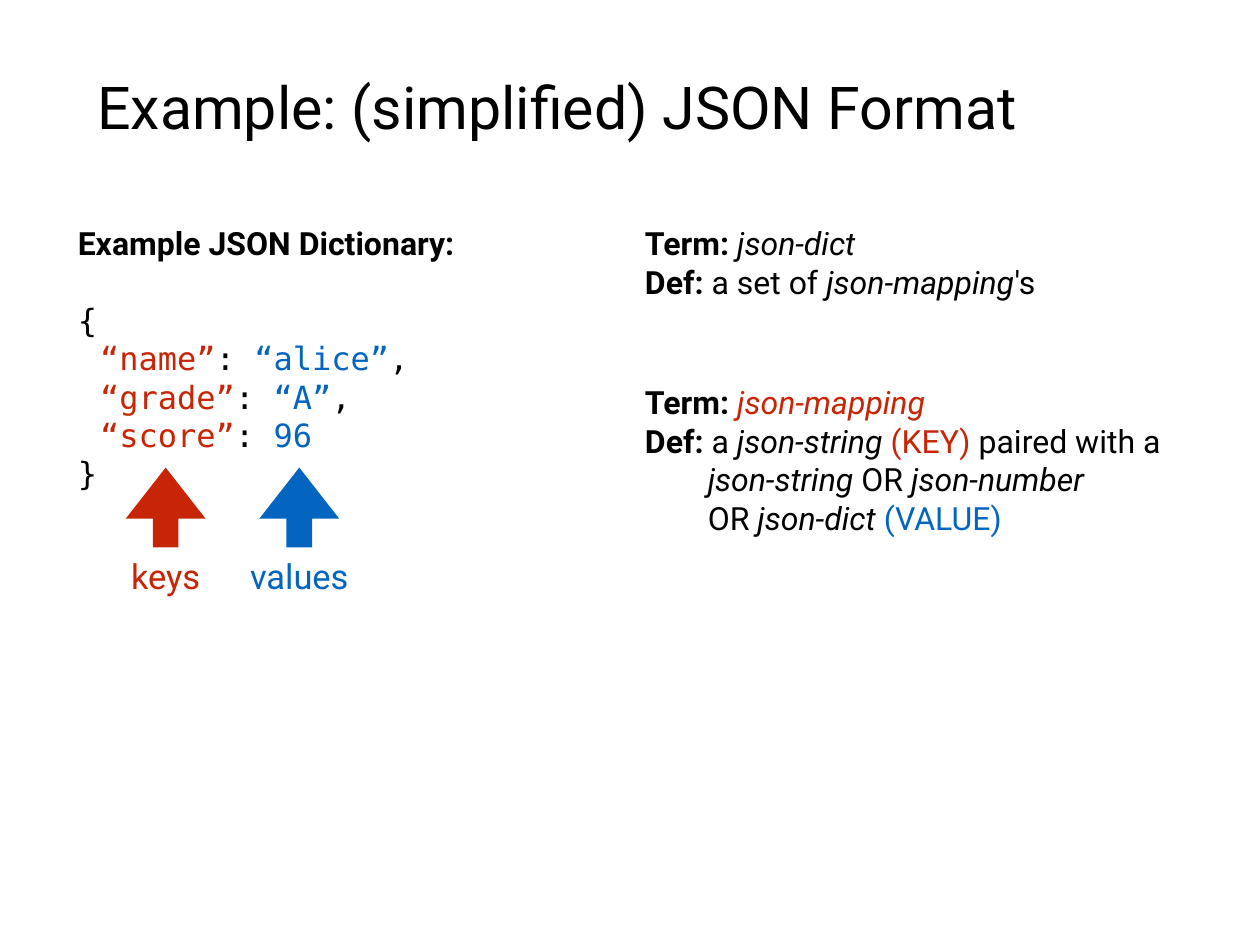
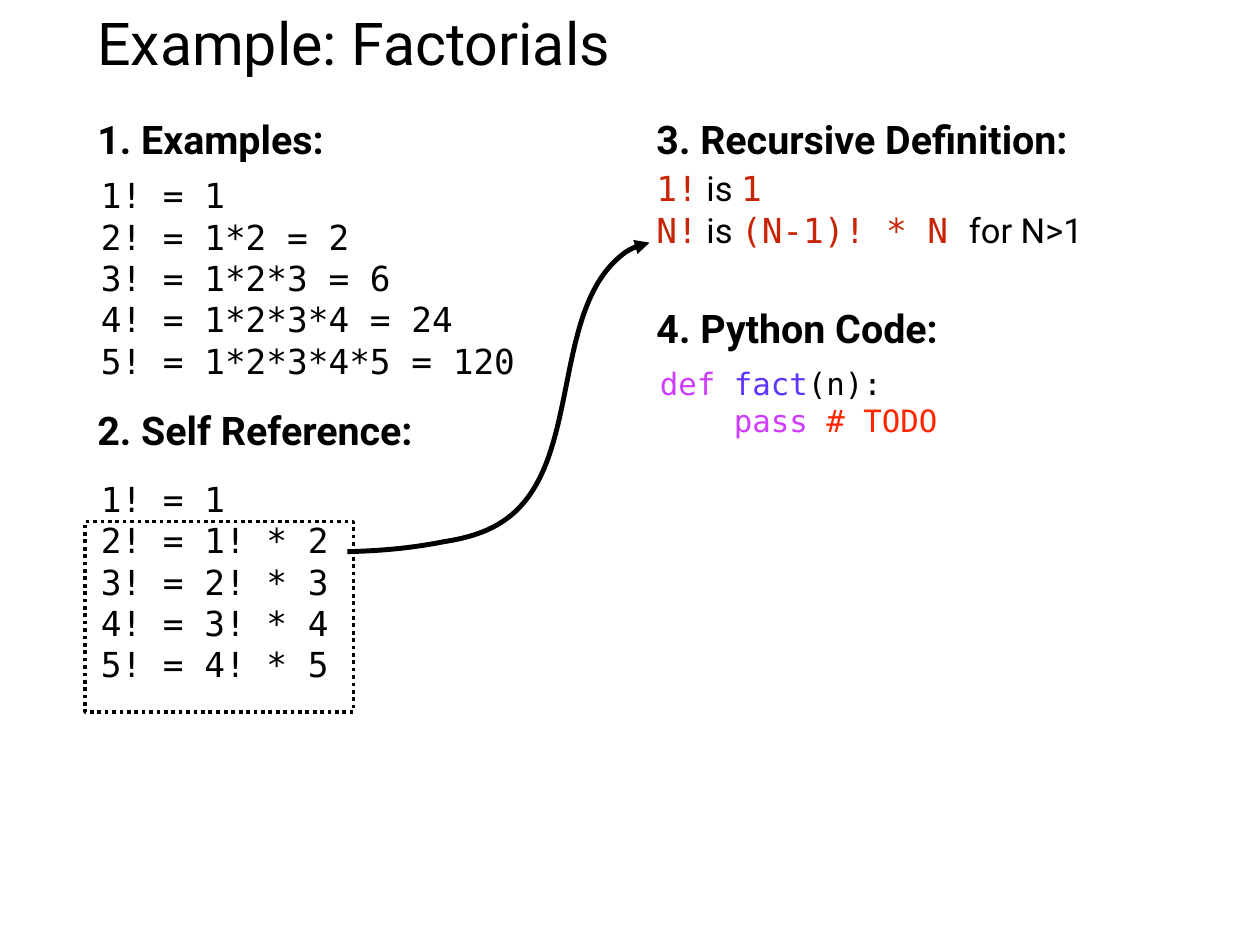
"""Builds two slides on recursive definitions: JSON format and factorials."""
from lxml.etree import SubElement
from pptx import Presentation
from pptx.dml.color import RGBColor
from pptx.enum.dml import MSO_LINE
from pptx.enum.shapes import MSO_SHAPE
from pptx.enum.text import MSO_ANCHOR, PP_ALIGN
from pptx.oxml.ns import qn
from pptx.util import Cm, Pt

BLACK = RGBColor(0x00, 0x00, 0x00)
RED = RGBColor(0xC8, 0x25, 0x06)
BLUE = RGBColor(0x03, 0x65, 0xC0)
PURPLE = RGBColor(0xD0, 0x3C, 0xFF)
INDIGO = RGBColor(0x5E, 0x34, 0xFF)
SCARLET = RGBColor(0xFF, 0x26, 0x00)
SANS, MONO = "Roboto", "DejaVu Sans Mono"

BOLD, ITALIC = {"bold": True}, {"italic": True}
KEY, VALUE = {"color": RED}, {"color": BLUE}
FORMULA = {"color": RED, "font": MONO}

JSON_TITLE = "Example: (simplified) JSON Format"
JSON_HEADING = "Example JSON Dictionary:"
JSON_ENTRIES = [("“name”", "“alice”"), ("“grade”", "“A”"), ("“score”", "96")]
DICT_TERM = [("Term: ", BOLD), ("json-dict", ITALIC)]
DICT_DEF = [("Def:", BOLD), " a set of ", ("json-mapping", ITALIC), "'s"]
MAPPING_TERM = [("Term: ", BOLD), ("json-mapping", ITALIC | KEY)]
MAPPING_DEF = [
    ("Def:", BOLD), " a ", ("json-string ", ITALIC), ("(KEY)", KEY),
    " paired with a\v", ("json-string ", ITALIC), "OR ",
    ("json-number\v", ITALIC), "OR ", ("json-dict ", ITALIC), ("(VALUE)", VALUE),
]
ARROWS = [("keys", RED, 4.75), ("values", BLUE, 8.58)]

FACTORIAL_TITLE = "Example: Factorials"
FACTORIAL_HEADINGS = [
    ("1. Examples:", 2.64, 3.15), ("2. Self Reference:", 2.64, 11.5),
    ("3. Recursive Definition:", 18.67, 3.15), ("4. Python Code:", 18.67, 8.58),
]
EXAMPLES = ["1! = 1", "2! = 1*2 = 2", "3! = 1*2*3 = 6",
            "4! = 1*2*3*4 = 24", "5! = 1*2*3*4*5 = 120"]
SELF_REFERENCE = ["1! = 1", "2! = 1! * 2", "3! = 2! * 3",
                  "4! = 3! * 4", "5! = 4! * 5"]
DEFINITION = [
    [("1!", FORMULA), " is ", ("1", FORMULA)],
    [("N!", FORMULA), " is ", ("(N-1)! * N ", FORMULA), "for N>1"],
]
CODE = [
    [("def ", {"color": PURPLE}), ("fact", {"color": INDIGO}), "(n):"],
    ["    ", ("pass ", {"color": PURPLE}), ("# TODO", {"color": SCARLET})],
]
CURVE = [
    (9.96, 15.82), (10.9, 15.8), (11.79, 15.72), (12.7, 15.54),
    (13.46, 15.42), (14.3, 15.21), (14.94, 14.5),
    (16.54, 12.75), (15.95, 9.04), (17.68, 7.44),
    (17.96, 7.19), (18.29, 7.01), (18.62, 6.96),
]


def add_text(slide, paragraphs, left, top, width, height, *, size, font=SANS,
             bold=False, color=BLACK, align=PP_ALIGN.LEFT,
             anchor=MSO_ANCHOR.TOP, spacing=None, indents=None, hanging=()):
    """Adds a text box; a paragraph is a string or a list of runs."""
    frame = slide.shapes.add_textbox(Cm(left), Cm(top), Cm(width), Cm(height)).text_frame
    frame.word_wrap = True
    frame.vertical_anchor = anchor
    frame.margin_left = frame.margin_right = Cm(0.15)
    frame.margin_top = frame.margin_bottom = Cm(0.15)
    for index, runs in enumerate(paragraphs):
        paragraph = frame.add_paragraph() if index else frame.paragraphs[0]
        paragraph.alignment = align
        if spacing and index in spacing:
            paragraph.space_before = Pt(spacing[index])
        if indents and index in indents:
            properties = paragraph._p.get_or_add_pPr()
            properties.set("marL", str(Cm(indents[index])))
            properties.set("indent", str(-Cm(indents[index]) if index in hanging else 0))
        for run in [runs] if isinstance(runs, str) else runs:
            words, style = (run, {}) if isinstance(run, str) else run
            for number, line in enumerate(words.split("\v")):
                if number:
                    paragraph.add_line_break()
                if line:
                    part = paragraph.add_run()
                    part.text = line
                    part.font.size = Pt(size)
                    part.font.name = style.get("font", font)
                    part.font.bold = style.get("bold", bold)
                    part.font.italic = style.get("italic", False)
                    part.font.color.rgb = style.get("color", color)


def add_slide(deck, title, top, height):
    """Adds a blank slide with its title."""
    slide = deck.slides.add_slide(deck.slide_layouts[6])
    add_text(slide, [title], 2.64, top, 30.84, height, size=48, anchor=MSO_ANCHOR.MIDDLE)
    return slide


def add_block_arrow(slide, label, color, center):
    """Adds an upward arrow with its label below."""
    side, label_width = 2.29, 3.6
    arrow = slide.shapes.add_shape(
        MSO_SHAPE.UP_ARROW, Cm(center - side / 2), Cm(13.41), Cm(side), Cm(side))
    arrow.adjustments[0], arrow.adjustments[1] = 0.32, 0.64
    arrow.shadow.inherit = False
    arrow.fill.solid()
    arrow.fill.fore_color.rgb = color
    arrow.line.fill.background()
    add_text(slide, [label], center - label_width / 2, 15.77, label_width, 1.47,
             size=28, color=color, align=PP_ALIGN.CENTER, anchor=MSO_ANCHOR.MIDDLE)


def add_curved_arrow(slide, points):
    """Adds an open Bezier curve ending in an arrowhead."""
    start, *rest = [(Cm(x), Cm(y)) for x, y in points]
    builder = slide.shapes.build_freeform(*start)
    builder.add_line_segments(rest, close=False)
    curve = builder.convert_to_shape()
    outline = next(curve._element.iter(qn("a:path")))
    segments = outline.findall(qn("a:lnTo"))
    for first in range(0, len(segments), 3):
        bezier = SubElement(outline, qn("a:cubicBezTo"))
        for segment in segments[first:first + 3]:
            bezier.append(segment[0])
            outline.remove(segment)
    curve.shadow.inherit = False
    curve.fill.background()
    curve.line.color.rgb = BLACK
    curve.line.width = Pt(4)
    SubElement(curve.line._get_or_add_ln(), qn("a:tailEnd"), type="triangle")


def build_json(deck):
    """Builds the JSON slide."""
    slide = add_slide(deck, JSON_TITLE, 1.24, 3.58)
    last = len(JSON_ENTRIES) - 1
    entries = [[(key, KEY), ": ", (value, VALUE), "," if index < last else ""]
               for index, (key, value) in enumerate(JSON_ENTRIES)]
    add_text(slide, [[(JSON_HEADING, BOLD | {"font": SANS})], "{", *entries, "}"],
             2.08, 6.27, 12.42, 9.02, size=26, font=MONO, spacing={1: 31},
             indents={index + 2: 0.64 for index in range(len(entries))})
    add_text(slide, [DICT_TERM, DICT_DEF, MAPPING_TERM, MAPPING_DEF],
             18.34, 6.27, 16.46, 9.91, size=26, spacing={2: 67},
             indents={3: 1.8}, hanging=(3,))
    for label, color, center in ARROWS:
        add_block_arrow(slide, label, color, center)


def build_factorials(deck):
    """Builds the factorial slide."""
    slide = add_slide(deck, FACTORIAL_TITLE, 0.03, 2.36)
    for heading, left, top in FACTORIAL_HEADINGS:
        add_text(slide, [heading], left, top, 16, 2.08, size=32, bold=True)
    add_text(slide, EXAMPLES, 2.74, 4.85, 12.4, 6.27, size=28, font=MONO)
    add_text(slide, SELF_REFERENCE, 2.74, 13.56, 7.7, 6.27, size=28, font=MONO)
    add_text(slide, DEFINITION, 18.67, 4.65, 13.7, 3.33, size=28)
    add_text(slide, CODE, 18.77, 10.31, 16.81, 3.35, size=25, font=MONO)
    add_curved_arrow(slide, CURVE)
    frame = slide.shapes.add_shape(
        MSO_SHAPE.RECTANGLE, Cm(2.44), Cm(14.96), Cm(7.7), Cm(5.46))
    frame.shadow.inherit = False
    frame.fill.background()
    frame.line.color.rgb = BLACK
    frame.line.width = Pt(3)
    frame.line.dash_style = MSO_LINE.ROUND_DOT


def main():
    """Builds and saves the deck."""
    deck = Presentation()
    deck.slide_width, deck.slide_height = Cm(36.12), Cm(27.1)
    build_json(deck)
    build_factorials(deck)
    deck.save("out.pptx")


if __name__ == "__main__":
    main()
